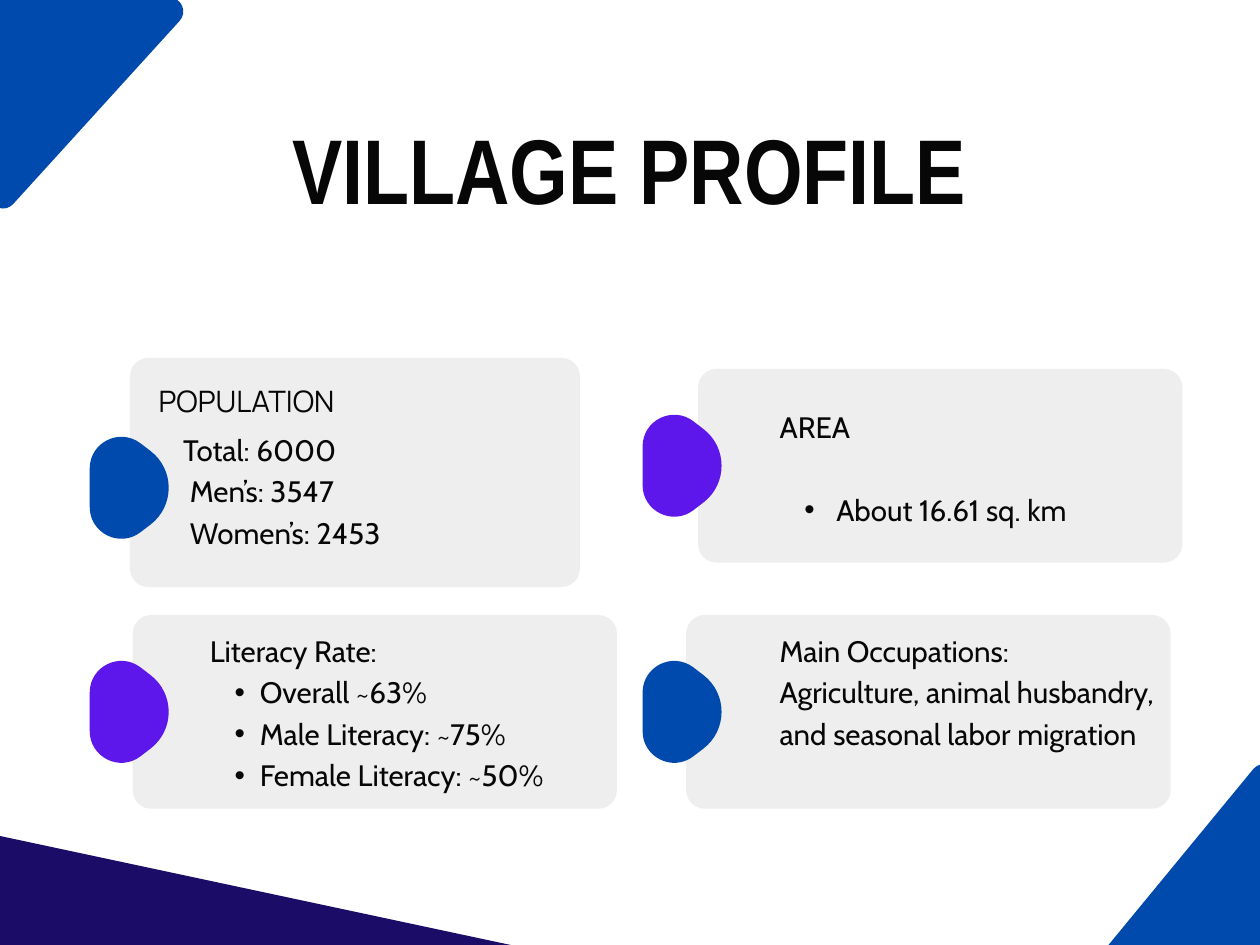
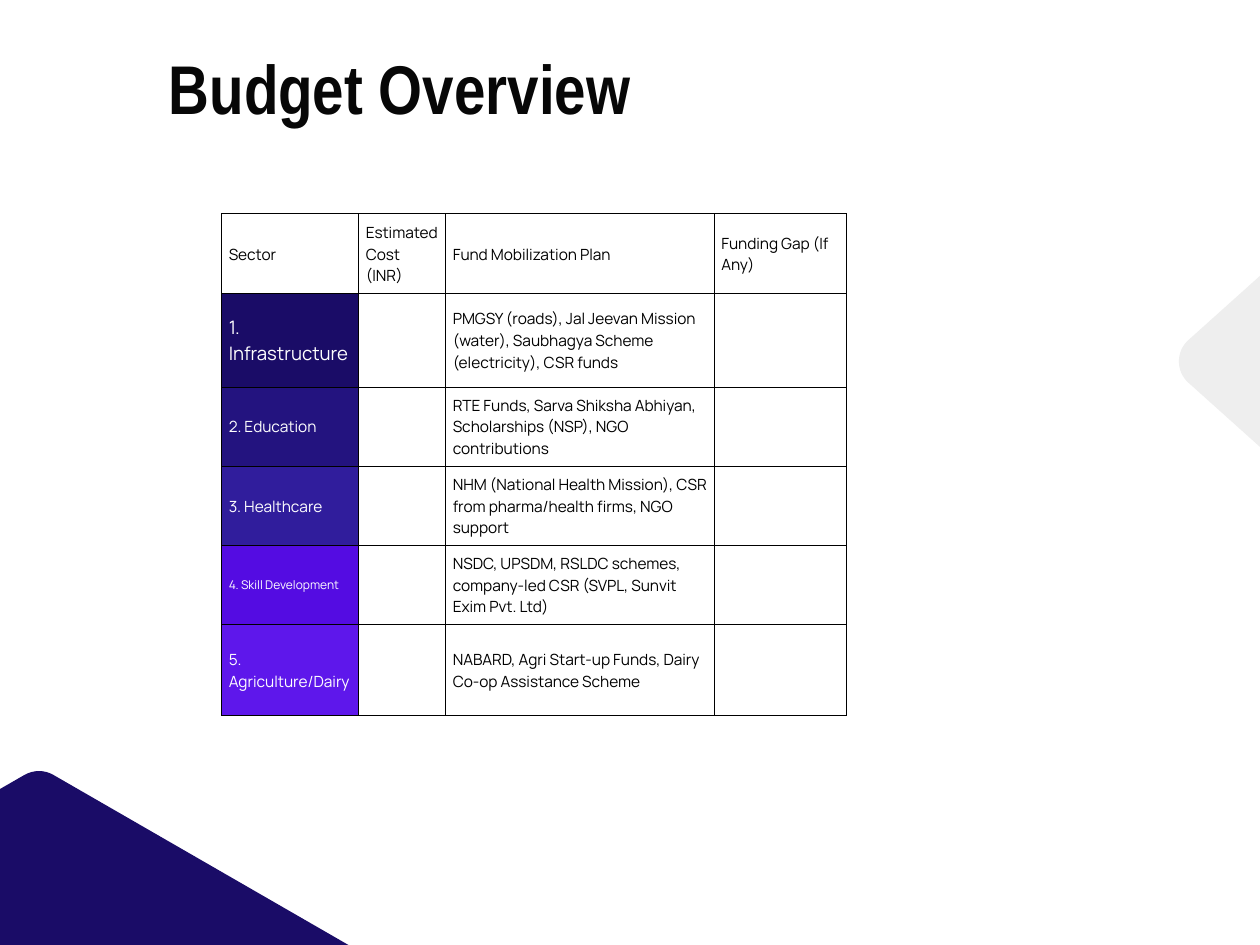
from dataclasses import dataclass
from itertools import product
from math import acos, hypot, tan

from lxml.etree import SubElement
from pptx import Presentation
from pptx.dml.color import RGBColor
from pptx.enum.shapes import MSO_SHAPE as Preset
from pptx.enum.text import MSO_ANCHOR as Anchor, PP_ALIGN as Align
from pptx.oxml.ns import qn
from pptx.util import Inches, Pt


@dataclass(frozen=True)
class Theme:
    ink: str = "070707"
    black: str = "000000"
    white: str = "FFFFFF"
    grey: str = "EEEEEE"
    blue: str = "004AAD"
    violet: str = "5E17EB"
    navy: str = "1A0C67"
    indigo: str = "23137F"
    purple: str = "301D9C"
    bright: str = "540CE2"
    title_font: str = "Arial Narrow"
    body_font: str = "Cabin"
    table_font: str = "Manrope"
    main_title: float = 56
    title: float = 42
    body: float = 18
    table: float = 9.4
    table_large: float = 11.3
    table_small: float = 7.3
    leading: float = 1.4


THEME = Theme()

# The slide is a grid of square cells; all lengths are counted in cells.
COLUMNS, ROWS = 32, 24
CELL = Inches(8) // ROWS
CARD_RADIUS = 0.47
CELL_INSET = 0.18

# Outlines: one (column, row, cut) per corner; the cut is where rounding begins.
TOP_LEFT_CORNER = [(-0.8, -0.09, 0.75), (5.1, -0.06, 0.8), (-0.19, 5.76, 0.78)]
BOTTOM_RIGHT_CORNER = [(32.32, 18.94, 0.77), (33.2, 24.75, 0.8), (27.34, 24.99, 0.74)]
BOTTOM_WEDGE = [(-6.57, 19.83, 0.58), (18.17, 25.11, 0.57), (-6.57, 30.39, 0.58)]
BOTTOM_PEAK = [(0.99, 19.47, 0.42), (19, 29.85, 0.36), (-17.02, 29.85, 0.36)]
RIGHT_ARROWHEAD = [(29.58, 9.18, 0.81), (33.96, 5.25, 0.77), (33.96, 13.11, 0.77)]
MARKER = [(0, -2.12, 1.63), (2.76, 0, 1.53), (0, 2.12, 1.63)]


def cells(*lengths):
    return [round(length * CELL) for length in lengths]


def paint(shape, color):
    shape.shadow.inherit = False
    shape.fill.solid()
    shape.fill.fore_color.rgb = RGBColor.from_string(color)
    shape.line.fill.background()


# Text
def write(frame, text, size=THEME.body, font=THEME.body_font, color=THEME.ink,
          bold=False, align=Align.LEFT, leading=THEME.leading, before=0,
          indent=0, hanging=0):
    """Add one paragraph; a hanging indent gives it a bullet."""
    first = frame.paragraphs[0]
    paragraph = frame.add_paragraph() if first.runs else first
    paragraph.alignment = align
    paragraph.line_spacing = Pt(round(size * leading, 1))
    paragraph.space_before = Pt(before)
    properties = paragraph._p.get_or_add_pPr()
    margin, offset = cells(indent, -hanging)
    properties.set("marL", str(margin))
    properties.set("indent", str(offset))
    if hanging:
        SubElement(properties, qn("a:buFont"), typeface="Arial")
        SubElement(properties, qn("a:buChar"), char="•")
    run = paragraph.add_run()
    run.text = text
    run.font.size = Pt(size)
    run.font.name = font
    run.font.bold = bold
    run.font.color.rgb = RGBColor.from_string(color)


def add_text_frame(slide, box, insets=(0, 0, 0, 0), anchor=Anchor.TOP):
    frame = slide.shapes.add_textbox(*cells(*box)).text_frame
    frame.word_wrap = True
    frame.vertical_anchor = anchor
    (frame.margin_left, frame.margin_top,
     frame.margin_right, frame.margin_bottom) = cells(*insets)
    return frame


def add_title(slide, text, box, size, align=Align.LEFT):
    write(add_text_frame(slide, box), text, size=size, font=THEME.title_font,
          bold=True, align=align, leading=1)


# Outlines
def toward(start, end, length):
    dx, dy = end[0] - start[0], end[1] - start[1]
    share = length / hypot(dx, dy)
    return start[0] + dx * share, start[1] + dy * share


def round_corner(previous, corner, following):
    """Start, two handles and end of the circular arc that replaces a corner."""
    cut = corner[2]
    before, after = toward(corner, previous, 1), toward(corner, following, 1)
    cosine = sum((before[i] - corner[i]) * (after[i] - corner[i]) for i in (0, 1))
    turn = acos(-cosine)
    handle = cut * (1 - 4 / 3 * tan(turn / 4) / tan(turn / 2))
    return [toward(corner, previous, cut), toward(corner, previous, handle),
            toward(corner, following, handle), toward(corner, following, cut)]


def bend_corners(shape):
    """Turn the three segments along each corner into one Bézier curve."""
    segments = list(shape._element.iter(qn("a:lnTo")))
    for start in range(0, len(segments), 4):
        first, *others = segments[start:start + 3]
        first.tag = qn("a:cubicBezTo")
        for segment in others:
            first.append(segment[0])
            segment.getparent().remove(segment)


def add_outline(slide, corners, color, left=0, top=0):
    points = []
    for index, corner in enumerate(corners):
        following = corners[(index + 1) % len(corners)]
        for x, y in round_corner(corners[index - 1], corner, following):
            points.append(cells(left + x, top + y))
    builder = slide.shapes.build_freeform(*points[0], scale=1.0)
    builder.add_line_segments(points[1:] + points[:1], close=True)
    shape = builder.convert_to_shape()
    bend_corners(shape)
    paint(shape, color)


def add_card(slide, box, marker, color):
    card = slide.shapes.add_shape(Preset.ROUNDED_RECTANGLE, *cells(*box))
    card.adjustments[0] = CARD_RADIUS / min(box[2:])
    paint(card, THEME.grey)
    add_outline(slide, MARKER, color, *marker)


# Table
def set_borders(cell, color=THEME.black, width=0.61):
    properties = cell._tc.get_or_add_tcPr()
    for side in ("lnL", "lnR", "lnT", "lnB"):
        line = SubElement(properties, qn(f"a:{side}"), w=str(Pt(width)))
        fill = SubElement(line, qn("a:solidFill"))
        SubElement(fill, qn("a:srgbClr"), val=color)


def add_table(slide, left, top, widths, heights):
    frame = slide.shapes.add_table(len(heights), len(widths),
                                   *cells(left, top, sum(widths), sum(heights)))
    table = frame.table
    table.first_row = table.horz_banding = False
    for column, width in zip(table.columns, cells(*widths)):
        column.width = width
    for row, height in zip(table.rows, cells(*heights)):
        row.height = height
    for row, column in product(range(len(heights)), range(len(widths))):
        cell = table.cell(row, column)
        cell.vertical_anchor = Anchor.MIDDLE
        cell.margin_left = cell.margin_right = round(CELL_INSET * CELL)
        cell.margin_top = cell.margin_bottom = round(CELL_INSET * CELL)
        set_borders(cell)
        cell.fill.background()
    return table


def write_cell(cell, text, fill=None, size=THEME.table):
    write(cell.text_frame, text, size=size, font=THEME.table_font,
          color=THEME.white if fill else THEME.black)
    if fill:
        cell.fill.solid()
        cell.fill.fore_color.rgb = RGBColor.from_string(fill)


# Slides
def build_village_profile(slide):
    add_title(slide, "VILLAGE PROFILE", (3.48, 3.33, 25.02, 2.43),
              THEME.main_title, Align.CENTER)

    # Cards with their markers
    left_marker, right_marker, lower_marker = 2.28, 16.32, 18.08
    add_card(slide, (3.3, 9.09, 11.43, 5.82), (left_marker, 12.39), THEME.blue)
    add_card(slide, (17.73, 9.37, 12.3, 4.92), (right_marker, 11.83), THEME.violet)
    add_card(slide, (3.37, 15.62, 12.3, 4.92), (left_marker, lower_marker), THEME.violet)
    add_card(slide, (17.43, 15.62, 12.3, 4.92), (right_marker, lower_marker), THEME.blue)

    # Population
    write(add_text_frame(slide, (4.03, 9.57, 8.52, 1.08)), "POPULATION",
          font=THEME.table_font)
    figures = add_text_frame(slide, (3.3, 8.83, 11.43, 6.09),
                             (0.18, 1.23, 0.18, 0.18), Anchor.MIDDLE)
    write(figures, "Total: 6000", indent=1.17)
    for line in ("Men’s: 3547", "Women’s: 2453"):
        write(figures, line, indent=1.34)

    # Area
    area = add_text_frame(slide, (19.8, 10.24, 8.52, 5.1))
    write(area, "AREA")
    write(area, "About 16.61 sq. km", before=THEME.body * THEME.leading,
          indent=1.44, hanging=0.81)

    # Literacy
    literacy = add_text_frame(slide, (5.33, 15.93, 9.99, 5.1))
    write(literacy, "Literacy Rate:")
    for line in ("Overall ~63%", "Male Literacy: ~75%", "Female Literacy: ~50%"):
        write(literacy, line, indent=1.27, hanging=0.64)

    # Occupations
    occupations = add_text_frame(slide, (19.8, 15.93, 9.81, 5.1))
    write(occupations, "Main Occupations:")
    write(occupations, "Agriculture, animal husbandry, and seasonal labor migration")

    # Corner decoration
    add_outline(slide, TOP_LEFT_CORNER, THEME.blue)
    add_outline(slide, BOTTOM_RIGHT_CORNER, THEME.blue)
    add_outline(slide, BOTTOM_WEDGE, THEME.navy)


def build_budget_overview(slide):
    add_outline(slide, BOTTOM_PEAK, THEME.navy)
    add_outline(slide, RIGHT_ARROWHEAD, THEME.grey)

    headings = ("Sector", "Estimated Cost (INR)", "Fund Mobilization Plan",
                "Funding Gap (If Any)")
    sectors = [
        ("1. Infrastructure", THEME.navy, THEME.table_large,
         "PMGSY (roads), Jal Jeevan Mission (water), Saubhagya Scheme "
         "(electricity), CSR funds"),
        ("2. Education", THEME.indigo, THEME.table,
         "RTE Funds, Sarva Shiksha Abhiyan, Scholarships (NSP), NGO contributions"),
        ("3. Healthcare", THEME.purple, THEME.table,
         "NHM (National Health Mission), CSR from pharma/health firms, NGO support"),
        ("4. Skill Development", THEME.bright, THEME.table_small,
         "NSDC, UPSDM, RSLDC schemes, company-led CSR (SVPL, Sunvit Exim Pvt. Ltd)"),
        ("5. Agriculture/Dairy", THEME.violet, THEME.table,
         "NABARD, Agri Start-up Funds, Dairy Co-op Assistance Scheme"),
    ]
    table = add_table(slide, 5.63, 5.43, widths=(3.48, 2.21, 6.82, 3.36),
                      heights=(2.03, 2.37, 2, 2, 2, 2.31))
    for column, heading in enumerate(headings):
        write_cell(table.cell(0, column), heading)
    for row, (sector, fill, size, plan) in enumerate(sectors, start=1):
        write_cell(table.cell(row, 0), sector, fill, size)
        write_cell(table.cell(row, 2), plan)

    add_title(slide, "Budget Overview", (4.29, 1.5, 15.12, 1.83), THEME.title)


def main():
    presentation = Presentation()
    presentation.slide_width, presentation.slide_height = cells(COLUMNS, ROWS)
    blank = presentation.slide_layouts[6]
    for build in (build_village_profile, build_budget_overview):
        build(presentation.slides.add_slide(blank))
    presentation.save("out.pptx")


if __name__ == "__main__":
    main()
